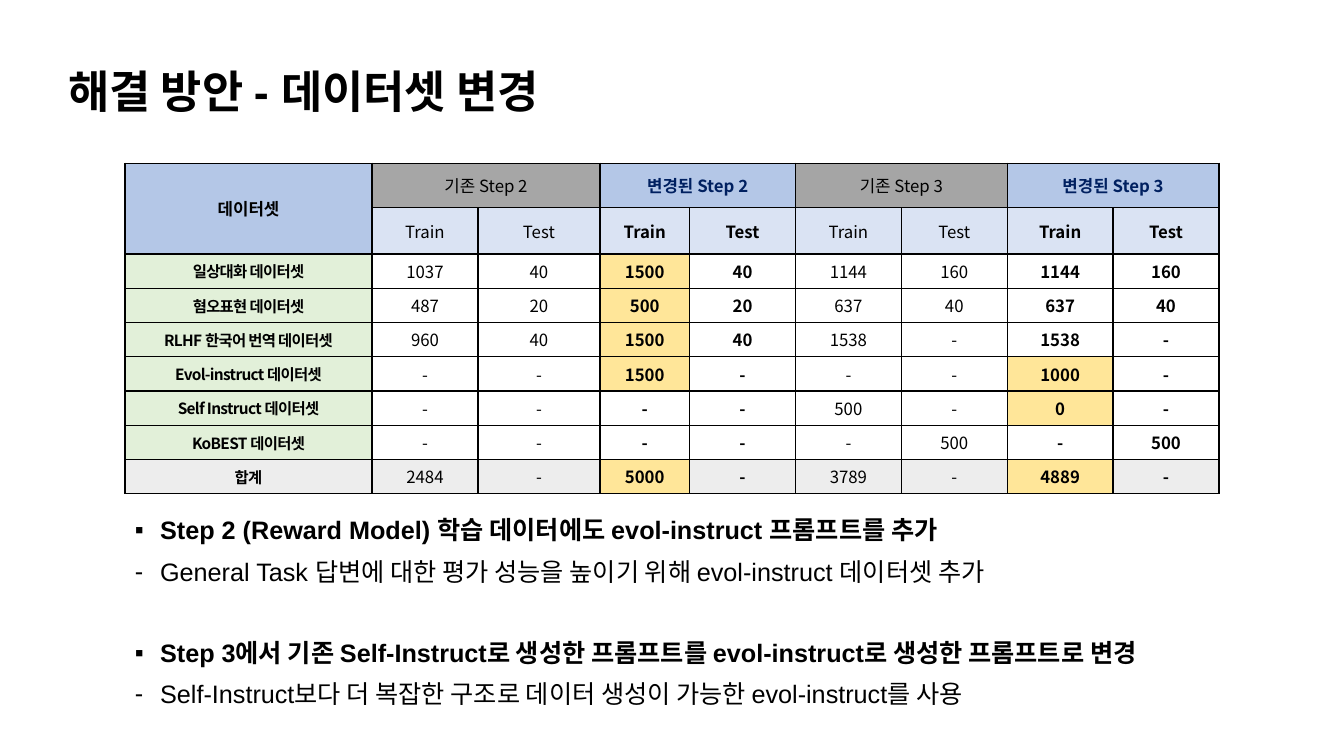
from dataclasses import dataclass
from lxml.etree import SubElement
from pptx import Presentation
from pptx.dml.color import RGBColor
from pptx.enum.text import MSO_ANCHOR as Anchor, PP_ALIGN as Align
from pptx.oxml.ns import qn
from pptx.util import Pt

PX = 9144  # EMU per px, 100 px to the inch


@dataclass(frozen=True)
class Theme:
    latin: str = "Arial"
    korean: str = "Noto Sans CJK KR"
    black: str = "000000"
    white: str = "FFFFFF"
    navy: str = "002060"
    blue: str = "B4C7E7"
    pale_blue: str = "DAE3F3"
    grey_step2: str = "A6A6A6"
    grey_step3: str = "A5A5A5"
    green: str = "E2F0D9"
    total: str = "EDEDED"
    highlight: str = "FFE699"
    title_size: int = 32
    body_size: int = 18
    cell_size: int = 12
    label_size: int = 11


THEME = Theme()

TITLE = "해결 방안 - 데이터셋 변경"
COLUMN_WIDTHS = [245, 105, 121, 89] + [105] * 5
ROW_HEIGHTS = [44, 46] + [34] * 7
STEPS = [  # heading, fill, text colour, changed
    ("기존 Step 2", THEME.grey_step2, THEME.black, False),
    ("변경된 Step 2", THEME.blue, THEME.navy, True),
    ("기존 Step 3", THEME.grey_step3, THEME.black, False),
    ("변경된 Step 3", THEME.blue, THEME.navy, True),
]
DATASETS = [
    ("일상대화 데이터셋", "1037 40 1500 40 1144 160 1144 160"),
    ("혐오표현 데이터셋", "487 20 500 20 637 40 637 40"),
    ("RLHF 한국어 번역 데이터셋", "960 40 1500 40 1538 - 1538 -"),
    ("Evol-instruct 데이터셋", "- - 1500 - - - 1000 -"),
    ("Self Instruct 데이터셋", "- - - - 500 - 0 -"),
    ("KoBEST 데이터셋", "- - - - - 500 - 500"),
    ("합계", "2484 - 5000 - 3789 - 4889 -"),
]
NOTES = [
    ("Step 2 (Reward Model) 학습 데이터에도 evol-instruct 프롬프트를 추가",
     "General Task 답변에 대한 평가 성능을 높이기 위해 evol-instruct 데이터셋 추가"),
    ("Step 3에서 기존 Self-Instruct로 생성한 프롬프트를 evol-instruct로 생성한 프롬프트로 변경",
     "Self-Instruct보다 더 복잡한 구조로 데이터 생성이 가능한 evol-instruct를 사용"),
]


def style_runs(paragraph, size, bold, color=THEME.black, font=THEME.latin, spacing=0):
    for run in paragraph.runs:
        run.font.size = Pt(size)
        run.font.bold = bold
        run.font.name = font
        run.font.color.rgb = RGBColor.from_string(color)
        properties = run._r.get_or_add_rPr()
        if spacing:
            properties.set("spc", str(spacing))
        east_asian = SubElement(properties, qn("a:ea"))
        east_asian.set("typeface", THEME.korean)


def add_text_frame(slide, box):
    shape = slide.shapes.add_textbox(*(length * PX for length in box))
    shape.text_frame.word_wrap = True
    return shape.text_frame


def add_title(slide, box):
    text_frame = add_text_frame(slide, box)
    text_frame.vertical_anchor = Anchor.MIDDLE
    text_frame.text = TITLE
    paragraph = text_frame.paragraphs[0]
    paragraph.line_spacing = 0.9
    style_runs(paragraph, THEME.title_size, True)


def add_borders(cell):
    properties = cell._tc.get_or_add_tcPr()
    for side in ("lnL", "lnR", "lnT", "lnB"):
        line = SubElement(properties, qn(f"a:{side}"), w=str(Pt(1)))
        fill = SubElement(line, qn("a:solidFill"))
        SubElement(fill, qn("a:srgbClr"), val=THEME.black)


def fill_cell(cell, text, fill, bold, margins, size=THEME.cell_size,
              color=THEME.black, spacing=0):
    cell.fill.solid()
    cell.fill.fore_color.rgb = RGBColor.from_string(fill)
    cell.vertical_anchor = Anchor.MIDDLE
    cell.margin_left = cell.margin_right = margins[0] * PX
    cell.margin_top = cell.margin_bottom = margins[1] * PX
    cell.text = text
    paragraph = cell.text_frame.paragraphs[0]
    paragraph.alignment = Align.CENTER
    style_runs(paragraph, size, bold, color, THEME.korean, spacing)


def add_dataset_table(slide, box):
    frame = slide.shapes.add_table(len(ROW_HEIGHTS), len(COLUMN_WIDTHS),
                                   *(length * PX for length in box))
    table = frame.table
    table.first_row = table.horz_banding = False
    for column, width in zip(table.columns, COLUMN_WIDTHS):
        column.width = width * PX
    for row, height in zip(table.rows, ROW_HEIGHTS):
        row.height = height * PX
    for cell in table.iter_cells():
        add_borders(cell)

    # Two header rows
    table.cell(0, 0).merge(table.cell(1, 0))
    fill_cell(table.cell(0, 0), "데이터셋", THEME.blue, True, (10, 10))
    for index, (heading, fill, color, changed) in enumerate(STEPS):
        left = 1 + 2 * index
        table.cell(0, left).merge(table.cell(0, left + 1))
        fill_cell(table.cell(0, left), heading, fill, changed, (10, 10), color=color)
        for offset, split in enumerate(("Train", "Test")):
            fill_cell(table.cell(1, left + offset), split, THEME.pale_blue,
                      changed, (10, 10))

    # Dataset rows: a changed count that differs from the earlier one is highlighted
    for row, (label, counts) in enumerate(DATASETS, start=2):
        is_total = row == len(ROW_HEIGHTS) - 1
        fill_cell(table.cell(row, 0), label, THEME.total if is_total else THEME.green,
                  True, (10, 4), THEME.label_size, spacing=-50)
        values = counts.split()
        for index, value in enumerate(values):
            changed = STEPS[index // 2][3]
            fill = THEME.total if is_total else THEME.white
            if changed and value != values[index - 2]:
                fill = THEME.highlight
            fill_cell(table.cell(row, index + 1), value, fill, changed, (4, 4))


def add_notes_text(slide, box):
    text_frame = add_text_frame(slide, box)
    lines = [(text, bullet, bullet == "▪")
             for note in NOTES for text, bullet in zip(note, "▪-")]
    for index, (text, bullet, is_heading) in enumerate(lines):
        paragraph = text_frame.paragraphs[0] if index == 0 else text_frame.add_paragraph()
        paragraph.text = text
        paragraph.line_spacing = 0.9
        starts_group = is_heading and index > 0
        paragraph.space_before = Pt(38.6 if starts_group else 10)
        style_runs(paragraph, THEME.body_size, is_heading)
        properties = paragraph._p.get_or_add_pPr()
        properties.set("marL", str(25 * PX))
        properties.set("indent", str(-25 * PX))
        SubElement(properties, qn("a:buFont"), typeface=THEME.latin)
        SubElement(properties, qn("a:buChar"), char=bullet)


def main():
    presentation = Presentation()
    presentation.slide_width = 1333 * PX
    presentation.slide_height = 750 * PX
    slide = presentation.slides.add_slide(presentation.slide_layouts[6])
    add_notes_text(slide, (124, 509, 1150, 209))
    add_dataset_table(slide, (124, 162, sum(COLUMN_WIDTHS), sum(ROW_HEIGHTS)))
    add_title(slide, (58, 47, 1150, 93))
    presentation.save("out.pptx")


if __name__ == "__main__":
    main()
